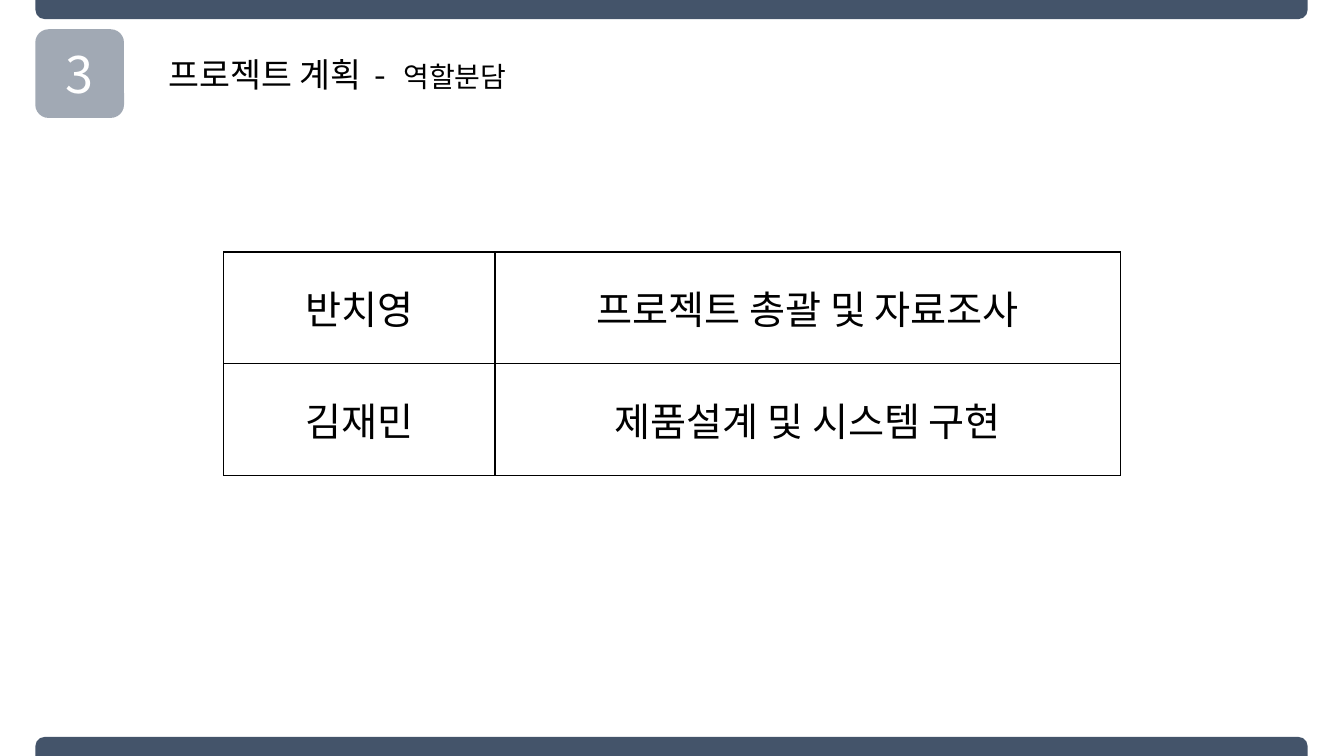
from pptx import Presentation
from pptx.dml.color import RGBColor
from pptx.enum.shapes import MSO_SHAPE
from pptx.enum.text import MSO_ANCHOR, MSO_AUTO_SIZE, PP_ALIGN
from pptx.oxml import parse_xml
from pptx.oxml.ns import nsdecls
from pptx.util import Inches, Pt

NAVY = RGBColor(0x44, 0x54, 0x6A)
BLACK = RGBColor(0x00, 0x00, 0x00)
WHITE = RGBColor(0xFF, 0xFF, 0xFF)
FONT = "Noto Sans CJK KR"


def add_text(paragraph, text, size, color=BLACK):
    run = paragraph.add_run()
    run.text = text
    for name, value in {"name": FONT, "size": Pt(size), "bold": False}.items():
        setattr(run.font, name, value)
    run.font.color.rgb = color
    # East Asian typeface for the Hangul
    run.font._element.append(parse_xml(f'<a:ea {nsdecls("a")} typeface="{FONT}"/>'))
    return run


def add_block(kind, left, top, width, height, adjustments):
    block = slide.shapes.add_shape(
        kind, Inches(left), Inches(top), Inches(width), Inches(height))
    block.shadow.inherit = False
    block.fill.solid()
    block.fill.fore_color.rgb = NAVY
    block.line.fill.background()
    for index, value in enumerate(adjustments):
        block.adjustments[index] = value
    return block


prs = Presentation()
prs.slide_width = Inches(13.33)
prs.slide_height = Inches(7.5)
slide = prs.slides.add_slide(prs.slide_layouts[5])

# Bars along the top and bottom edges
for top, rotation in ((0, 180), (7.31, 0)):
    bar = add_block(MSO_SHAPE.ROUND_2_SAME_RECTANGLE, 0.35, top, 12.62, 0.19, (0.5, 0))
    bar.rotation = rotation

# Section number on a half-transparent badge
badge = add_block(MSO_SHAPE.ROUNDED_RECTANGLE, 0.35, 0.29, 0.88, 0.88, (0.149,))
badge_color = badge.fill._xPr.solidFill.find(".//{*}srgbClr")
badge_color.append(parse_xml(f'<a:alpha {nsdecls("a")} val="50000"/>'))
badge.text_frame.vertical_anchor = MSO_ANCHOR.MIDDLE
section = badge.text_frame.paragraphs[0]
section.alignment = PP_ALIGN.CENTER
add_text(section, "3", 36, WHITE)

# Title
title = slide.shapes.title
for name, value in {"left": 1.57, "top": 0.53, "width": 3.84, "height": 0.5}.items():
    setattr(title, name, Inches(value))
frame = title.text_frame
for name, value in {"word_wrap": False, "auto_size": MSO_AUTO_SIZE.SHAPE_TO_FIT_TEXT,
                    "vertical_anchor": MSO_ANCHOR.TOP}.items():
    setattr(frame, name, value)
heading = frame.paragraphs[0]
heading.alignment = PP_ALIGN.LEFT
heading.line_spacing = 0.9
add_text(heading, "프로젝트 계획", 24)
dash = add_text(heading, " - ", 24)
dash.font._element.set("spc", "360")  # wider gaps around the dash
add_text(heading, "역할분담", 20)

# Roles table
roles = (
    ("반치영", "프로젝트 총괄 및 자료조사"),
    ("김재민", "제품설계 및 시스템 구현"),
)
table = slide.shapes.add_table(
    len(roles), 2, Inches(2.22), Inches(2.5), Inches(8.89), Inches(2.22)).table
table.first_row = False
table.horz_banding = False
for column, width in zip(table.columns, (2.69, 6.2)):
    column.width = Inches(width)
for r, member in enumerate(roles):
    table.rows[r].height = Inches(1.11)
    for c, text in enumerate(member):
        cell = table.cell(r, c)
        cell.vertical_anchor = MSO_ANCHOR.MIDDLE
        paragraph = cell.text_frame.paragraphs[0]
        paragraph.alignment = PP_ALIGN.CENTER
        add_text(paragraph, text, 28)
        # Borders come before the fill in the cell properties
        for side in ("lnL", "lnR", "lnT", "lnB"):
            cell._tc.get_or_add_tcPr().append(parse_xml(
                f'<a:{side} {nsdecls("a")} w="12700"><a:solidFill>'
                f'<a:srgbClr val="{BLACK}"/></a:solidFill></a:{side}>'))
        cell.fill.solid()
        cell.fill.fore_color.rgb = WHITE

prs.save("out.pptx")
